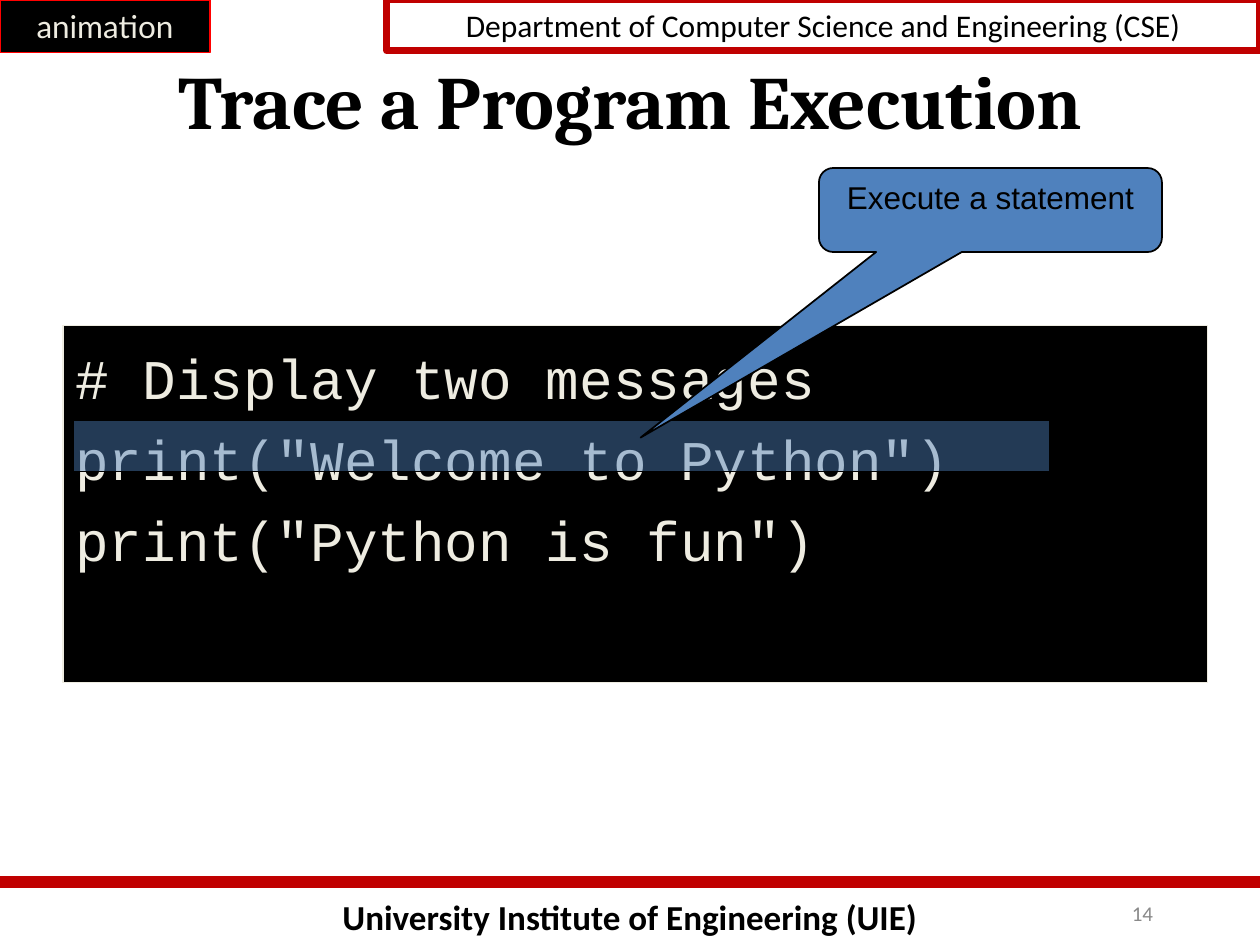
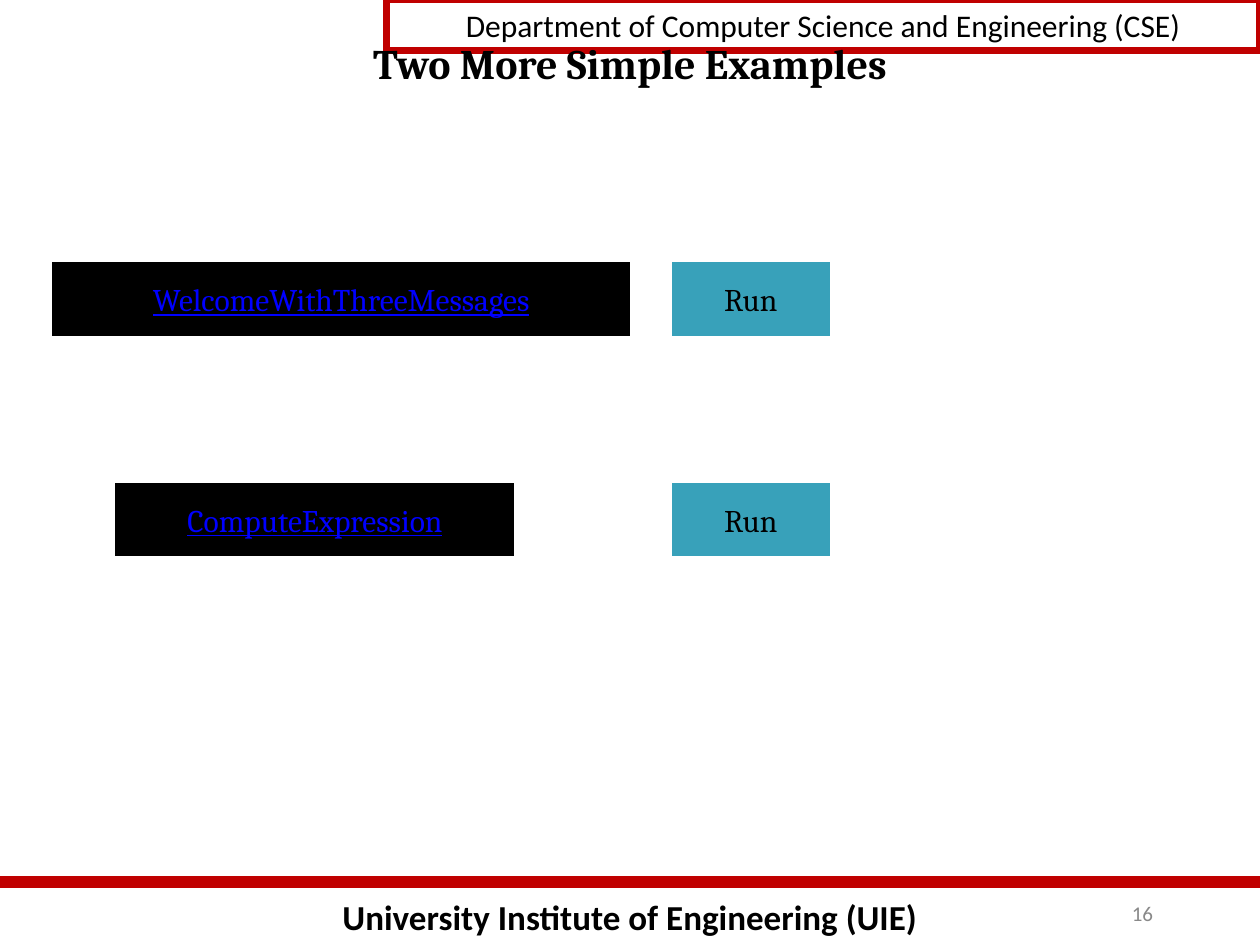
from lxml import etree
from pptx import Presentation
from pptx import util as u
from pptx.dml.color import RGBColor
from pptx.enum import shapes, text
from pptx.oxml.ns import qn

Pt = u.Pt
PRESET = shapes.MSO_SHAPE
ALIGN = text.PP_ALIGN
ANCHOR = text.MSO_ANCHOR
WIDTH, HEIGHT = 720, 540
COLORS = {
    "black": "000000", "cream": "EEECE1", "crimson": "C00000",
    "red": "FF0000", "blue": "4F81BD", "teal": "38A1BA",
    "link": "0000FF", "gray": "898989",
}


def color(name):
    return RGBColor.from_string(COLORS[name])


class Deck:
    def __init__(self):
        self.file = Presentation()
        self.file.slide_width, self.file.slide_height = Pt(WIDTH), Pt(HEIGHT)
        self.page = None

    def fill_text(self, box, lines, ink="black", align=ALIGN.CENTER,
                  anchor=ANCHOR.MIDDLE, wrap=True, gap=0, top=3.6, **font):
        frame = box.text_frame
        frame.text = lines
        layout = {"word_wrap": wrap, "vertical_anchor": anchor,
                  "auto_size": text.MSO_AUTO_SIZE.NONE, "margin_top": Pt(top),
                  "margin_bottom": Pt(3.6), "margin_left": Pt(7.2),
                  "margin_right": Pt(7.2)}
        for key, value in layout.items():
            setattr(frame, key, value)
        for number, para in enumerate(frame.paragraphs):
            para.alignment = align
            if number:
                para.space_before = Pt(gap)
            for span in para.runs:
                for key, value in font.items():
                    setattr(span.font, key, value)
                span.font.color.rgb = color(ink)

    def label(self, place, words, **style):
        self.fill_text(self.page.shapes.add_textbox(*map(Pt, place)), words, **style)

    def shape(self, preset, place, fill=None, line=None, weight=1, opacity=None):
        box = self.page.shapes.add_shape(preset, *map(Pt, place))
        box.shadow.inherit = False
        if fill:
            box.fill.solid()
            box.fill.fore_color.rgb = color(fill)
        else:
            box.fill.background()
        if line:
            box.line.color.rgb = color(line)
            box.line.width = Pt(weight)
        else:
            box.line.fill.background()
        if opacity:
            shade = box.element.spPr.find(qn("a:solidFill"))[0]
            etree.SubElement(shade, qn("a:alpha")).set("val", str(opacity * 1000))
        return box

    def rule(self, y, ink, weight):
        line = self.page.shapes.add_connector(
            shapes.MSO_CONNECTOR.STRAIGHT, 0, Pt(y), Pt(WIDTH), Pt(y))
        line.line.color.rgb = color(ink)
        line.line.width = Pt(weight)
        etree.SubElement(line.element.spPr, qn("a:effectLst"))

    def title(self, words, place, size):
        box = self.page.shapes.title
        box.left, box.top, box.width, box.height = map(Pt, place)
        self.fill_text(box, words, name="Cambria", size=Pt(size), bold=True)
        # Bring the title in front of the header band.
        box.element.getparent().append(box.element)

    def button(self, place, words, fill, **style):
        box = self.shape(PRESET.ACTION_BUTTON_CUSTOM, place, fill)
        self.fill_text(box, words, wrap=False, name="Cambria", size=Pt(18), **style)

    def new_page(self, number):
        """Add a slide with the shared header, footer and page number."""
        self.page = self.file.slides.add_slide(self.file.slide_layouts[5])
        self.label((0, 508, WIDTH, 32), "University Institute of Engineering (UIE)",
                   anchor=ANCHOR.TOP, name="Calibri", size=Pt(20), bold=True)
        self.rule(504, "crimson", 7)
        header = self.shape(PRESET.RECTANGLE, (221, 0, 499, 29), None, "crimson", 4)
        self.fill_text(header, "Department of Computer Science and Engineering (CSE)",
                       anchor=ANCHOR.TOP, name="Calibri", size=Pt(18))
        self.label((516, 504, 150, 36), str(number), ink="gray",
                   align=ALIGN.RIGHT, name="Calibri", size=Pt(12))


def trace_page(deck):
    deck.new_page(14)
    code = deck.shape(PRESET.RECTANGLE, (36, 186, 654, 204), "black", "cream", 0.75)
    deck.fill_text(code, '# Display two messages\n'
                         'print("Welcome to Python")\n'
                         'print("Python is fun")',
                   ink="cream", align=ALIGN.LEFT, anchor=ANCHOR.TOP, gap=8, top=10,
                   name="Courier New", size=Pt(32))
    deck.title("Trace a Program Execution", (54, 36, 612, 42), 43)
    deck.shape(PRESET.RECTANGLE, (42, 240, 558, 29.5), "blue", "black", opacity=45)
    callout = deck.shape(PRESET.ROUNDED_RECTANGULAR_CALLOUT, (468, 96, 196, 48),
                         "blue", "black")
    for index, value in enumerate((-1.02, 2.71, 0.17)):
        callout.adjustments[index] = value
    deck.fill_text(callout, "Execute a statement", anchor=ANCHOR.TOP,
                   name="Arial", size=Pt(18))
    tag = deck.shape(PRESET.RECTANGLE, (0, 0, 120, 30), "black", "red")
    deck.fill_text(tag, "animation", ink="cream", wrap=False, name="Lato", size=Pt(18))


def examples_page(deck):
    deck.new_page(16)
    deck.title("Two More Simple Examples", (54, 12, 612, 48), 24)
    examples = [("WelcomeWithThreeMessages", 30, 150, 330),
                ("ComputeExpression", 66, 276, 228)]
    for program, left, top, width in examples:
        deck.button((384, top, 90, 42), "Run", "teal")
        deck.button((left, top, width, 42), program, "black",
                    ink="link", underline=True)


def main():
    deck = Deck()
    trace_page(deck)
    examples_page(deck)
    deck.file.save("out.pptx")


if __name__ == "__main__":
    main()
